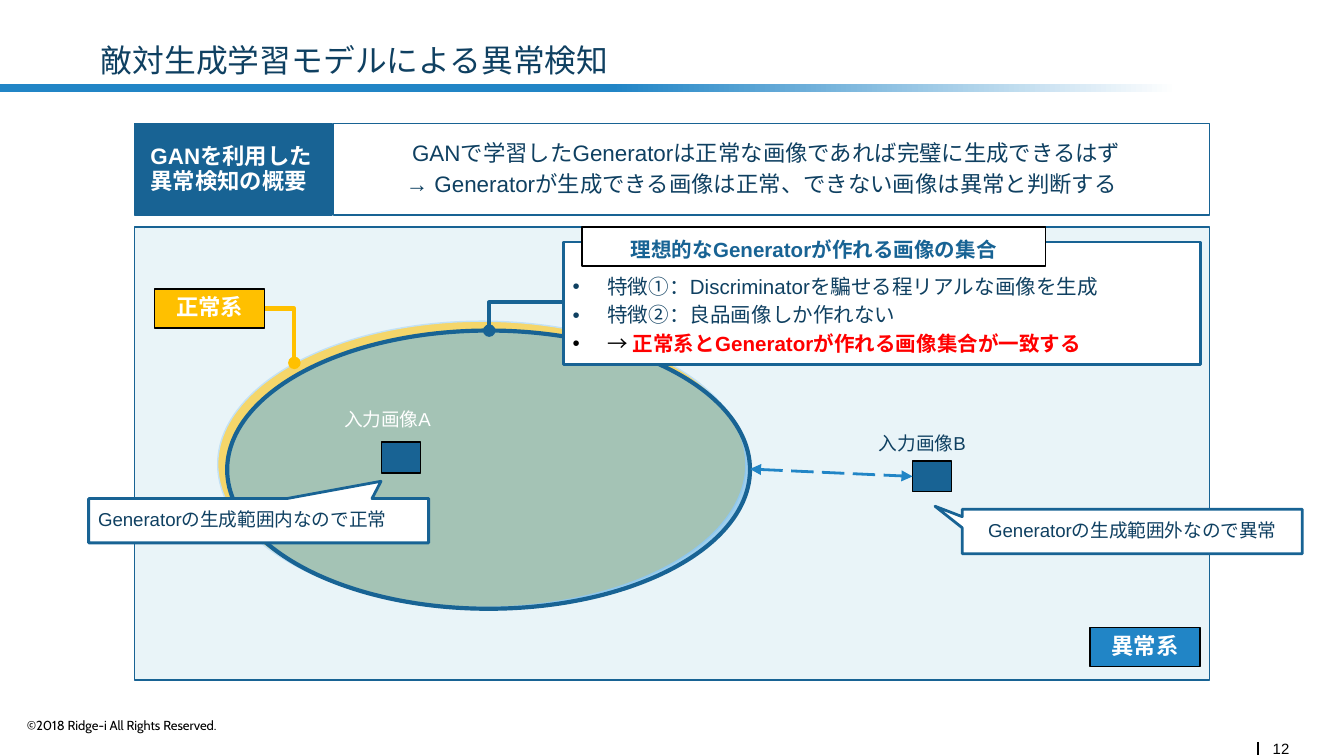
import pptx
import pptx.util
import pptx.dml.color
import pptx.enum.dml
import pptx.enum.shapes
import pptx.enum.text
import pptx.oxml.ns
from lxml import etree

# Grid: 100 square columns across a 16:9 slide, about 56 rows down
WIDE = 10
HIGH = WIDE * 9 / 16
UNIT = WIDE / 100
NAVY, BLUE, INK, GOLD = "186394", "2185C6", "0F4061", "FFC000"
WHITE, BLACK, RED = "FFFFFF", "000000", "FF0000"
KIND = pptx.enum.shapes.MSO_SHAPE
BOX, OVAL, CALL = KIND.RECTANGLE, KIND.OVAL, KIND.RECTANGULAR_CALLOUT

# Content: plain text as (place, text, format)
TEXTS = [
    ((94.7, 55, 1.6, 1.1), "12", dict(size=8, hue=BLACK, space=1)),
    ((1.1, 53, 22, 2.2), "©2018 Ridge-i All Rights Reserved.",
     dict(size=7, hue=BLACK, font="Cabin", space=1, pad=(0.09, 0.04))),
    ((7.5, 1, 78.9, 4.9), "敵対生成学習モデルによる異常検知",
     dict(size=17, anchor="BOTTOM")),
    ((25.6, 30.5, 9.2, 1.6), "入力画像A", dict(size=10, hue=WHITE)),
    ((65.4, 32.3, 9.2, 1.6), "入力画像B", dict(size=10)),
]

# Shapes as name: (kind, place, fill, line, line width, alpha)
SHAPES = {
    "panel": (BOX, (10, 16.9, 80, 33.7), "E9F4F8", NAVY, 0.75, 100),
    "normal": (OVAL, (16.2, 23.9, 39.3, 21.3), GOLD, "C2E1F6", 0.75, 57),
    "made": (OVAL, (16.9, 24.6, 38.9, 20.7), "6FB7E7", NAVY, 2.25, 60),
    "good": (BOX, (11.5, 21.5, 8.2, 2.9), GOLD, BLACK, 0.75, 100),
    "bad": (BOX, (81.1, 46.7, 8.2, 2.9), BLUE, BLACK, 0.75, 100),
    "input A": (BOX, (28.4, 32.9, 2.9, 2.3), NAVY, BLACK, 0.75, 100),
    "input B": (BOX, (67.9, 34.3, 2.9, 2.3), NAVY, BLACK, 0.75, 100),
    "inside": (CALL, (6.6, 37.1, 25.3, 3.3), WHITE, NAVY, 1.5, 100),
    "outside": (CALL, (71.6, 37.9, 25.3, 3.3), WHITE, NAVY, 1.5, 100),
    "topic": (BOX, (10, 9.2, 14.7, 6.8), NAVY, NAVY, 0.75, 100),
    "idea": (BOX, (24.8, 9.2, 65.2, 6.8), WHITE, NAVY, 0.75, 100),
    "traits": (BOX, (41.9, 18, 47.4, 9.1), WHITE, NAVY, 1.5, 100),
    "heading": (BOX, (43.3, 16.9, 34.5, 2.9), WHITE, BLACK, 0.75, 100),
}
TIPS = {"inside": (0.36, -0.89), "outside": (-0.58, -0.57)}

# Text in shapes as name: (text, format); a list holds paragraphs
TAG = dict(size=12, hue=WHITE, bold=True, align="CENTER", anchor="MIDDLE")
NOTE = dict(size=10, anchor="MIDDLE", pad=(0.07, 0))
WORDS = {
    "good": ("正常系", TAG),
    "bad": ("異常系", TAG),
    "inside": ("Generatorの生成範囲内なので正常", NOTE),
    "outside": ("Generatorの生成範囲外なので異常", dict(NOTE, align="CENTER")),
    "topic": ("GANを利用した異常検知の概要",
              dict(TAG, align="LEFT", pad=(0.07, 0), left=0.12)),
    "idea": ([" GANで学習したGeneratorは正常な画像であれば完璧に生成できるはず",
              "→ Generatorが生成できる画像は正常、できない画像は異常と判断する"],
             dict(size=12, anchor="MIDDLE", pad=(0.07, 0), left=0.54)),
    "traits": (["特徴①：Discriminatorを騙せる程リアルな画像を生成",
                "特徴②：良品画像しか作れない",
                [("→ ", BLACK, False),
                 ("正常系とGeneratorが作れる画像集合が一致する", RED, True)]],
               dict(size=11, anchor="MIDDLE", pad=(0.07, 0), top=0.19,
                    dots=(INK, INK, BLACK))),
    "heading": ("理想的なGeneratorが作れる画像の集合",
                dict(size=11, hue=NAVY, bold=True, align="CENTER",
                     pad=(0.09, 0.09))),
}

# Lines as (from, to, colour, width, head, tail, dashed)
LINKS = {
    "gap": ((55.8, 34.9), (67.9, 35.45), BLUE, 1.5, "triangle", "triangle", True),
    "good": ((19.7, 22.95), (21.9, 27), GOLD, 2.25, None, "oval", False),
    "traits": ((41.9, 22.5), (36.4, 24.6), NAVY, 2.25, None, "oval", False),
    "page": ((93.6, 55.2), (93.6, 56.2), BLACK, 0.75, None, None, False),
}


def tint(code):
    return pptx.dml.color.RGBColor.from_string(code)


def grid(nums):
    return [pptx.util.Inches(n * UNIT) for n in nums]


def node(parent, tag, **attrs):
    child = etree.SubElement(parent, pptx.oxml.ns.qn(tag))
    for key, value in attrs.items():
        child.set(key, value)
    return child


def write(shape, text, size=10, hue=INK, bold=False, font="Arial", align="LEFT",
          anchor="TOP", pad=(0, 0), left=None, top=None, space=0.93, dots=None):
    frame = shape.text_frame
    frame.word_wrap = True
    frame.vertical_anchor = pptx.enum.text.MSO_ANCHOR[anchor]
    frame.margin_left = pptx.util.Inches(pad[0] if left is None else left)
    frame.margin_right = pptx.util.Inches(pad[0])
    frame.margin_top = pptx.util.Inches(pad[1] if top is None else top)
    frame.margin_bottom = pptx.util.Inches(pad[1])
    for i, part in enumerate(text if isinstance(text, list) else [text]):
        para = frame.add_paragraph() if i else frame.paragraphs[0]
        para.alignment = pptx.enum.text.PP_ALIGN[align]
        para.line_spacing = space
        if i:
            para.space_before = pptx.util.Pt(3)
        if dots:
            props = para._p.get_or_add_pPr()
            inset = pptx.util.Inches(0.26)
            props.set("marL", str(inset))
            props.set("indent", str(-inset))
            node(node(props, "a:buClr"), "a:srgbClr", val=dots[i])
            node(props, "a:buFont", typeface=font)
            node(props, "a:buChar", char="•")
        for words, shade, heavy in part if isinstance(part, list) else [(part, hue, bold)]:
            run = para.add_run()
            run.text = words
            run.font.size = pptx.util.Pt(size)
            run.font.name = font
            run.font.bold = heavy
            run.font.color.rgb = tint(shade)


def draw(slide, kind, place, fill, line, width, alpha):
    shape = slide.shapes.add_shape(kind, *grid(place))
    shape.shadow.inherit = False
    shape.fill.solid()
    shape.fill.fore_color.rgb = tint(fill)
    if alpha < 100:
        colour = shape._element.spPr.find(".//" + pptx.oxml.ns.qn("a:srgbClr"))
        node(colour, "a:alpha", val=str(alpha * 1000))
    shape.line.color.rgb = tint(line)
    shape.line.width = pptx.util.Pt(width)
    return shape


def link(slide, start, end, hue, width, head, tail, dashed):
    bent = tail == "oval"
    kind = pptx.enum.shapes.MSO_CONNECTOR
    line = slide.shapes.add_connector(kind.ELBOW if bent else kind.STRAIGHT,
                                      *grid(start + end))
    props = line._element.spPr
    if bent:
        props.find(pptx.oxml.ns.qn("a:prstGeom")).set("prst", "bentConnector2")
    line.line.color.rgb = tint(hue)
    line.line.width = pptx.util.Pt(width)
    if dashed:
        line.line.dash_style = pptx.enum.dml.MSO_LINE.LONG_DASH
    for tag, cap in (("a:headEnd", head), ("a:tailEnd", tail)):
        if cap:
            node(line.line._get_or_add_ln(), tag, type=cap)
    node(props, "a:effectLst")
    return line


def main():
    deck = pptx.Presentation()
    deck.slide_width = pptx.util.Inches(WIDE)
    deck.slide_height = pptx.util.Inches(HIGH)
    slide = deck.slides.add_slide(deck.slide_layouts[6])

    # Fading bar under the title
    bar = slide.shapes.add_shape(BOX, *grid((0, 6.25, 87.6, 0.6)))
    bar.shadow.inherit = False
    bar.line.fill.background()
    bar.fill.gradient()
    bar.fill.gradient_angle = 0
    for stop, spot, hue in zip(bar.fill.gradient_stops, (0.52, 1), (BLUE, WHITE)):
        stop.position = spot
        stop.color.rgb = tint(hue)

    # Panels, ellipses, tags and callouts
    made = {}
    for name, look in SHAPES.items():
        made[name] = shape = draw(slide, *look)
        for i, tip in enumerate(TIPS.get(name, ())):
            shape.adjustments[i] = tip
        if name in WORDS:
            text, style = WORDS[name]
            write(shape, text, **style)

    # Connectors
    for name, look in LINKS.items():
        line = link(slide, *look)
        if name == "gap":
            line.end_connect(made["input B"], 1)

    # Title, labels and footer
    for place, text, style in TEXTS:
        write(slide.shapes.add_textbox(*grid(place)), text, **style)

    deck.save("out.pptx")


if __name__ == "__main__":
    main()
